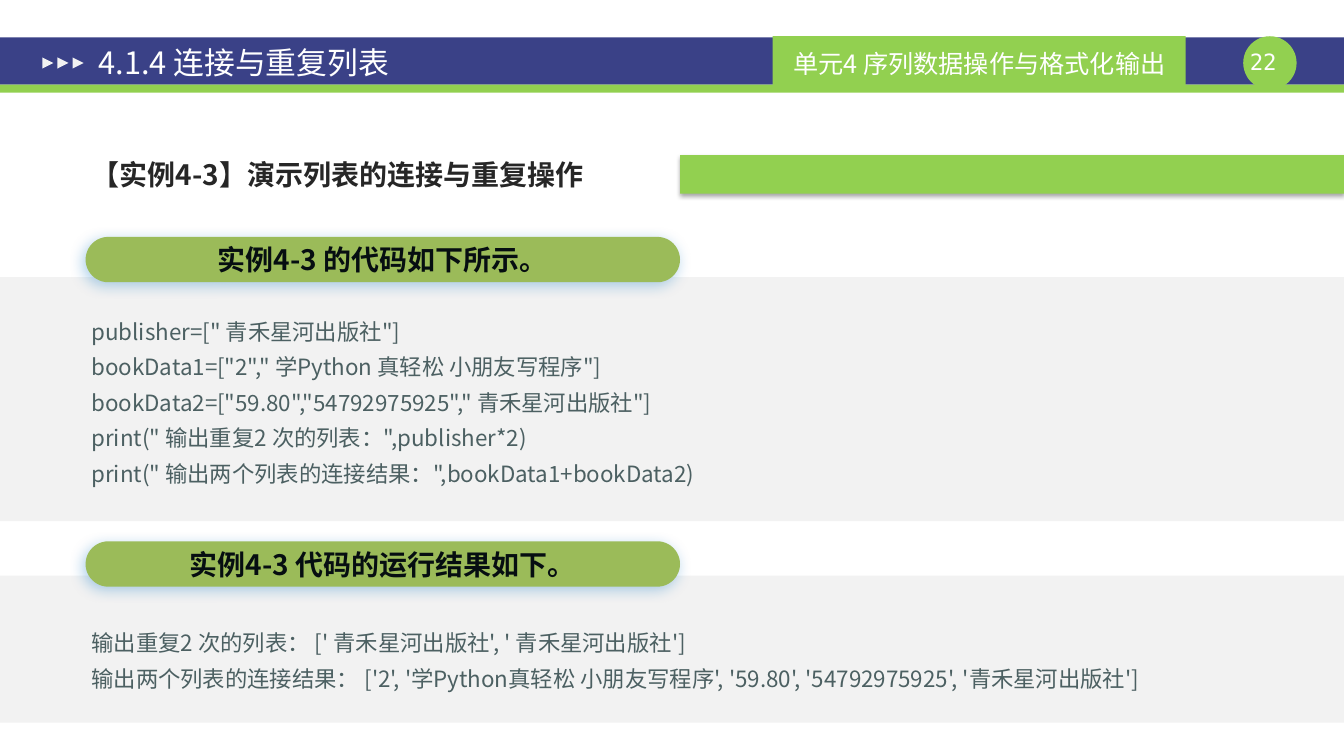
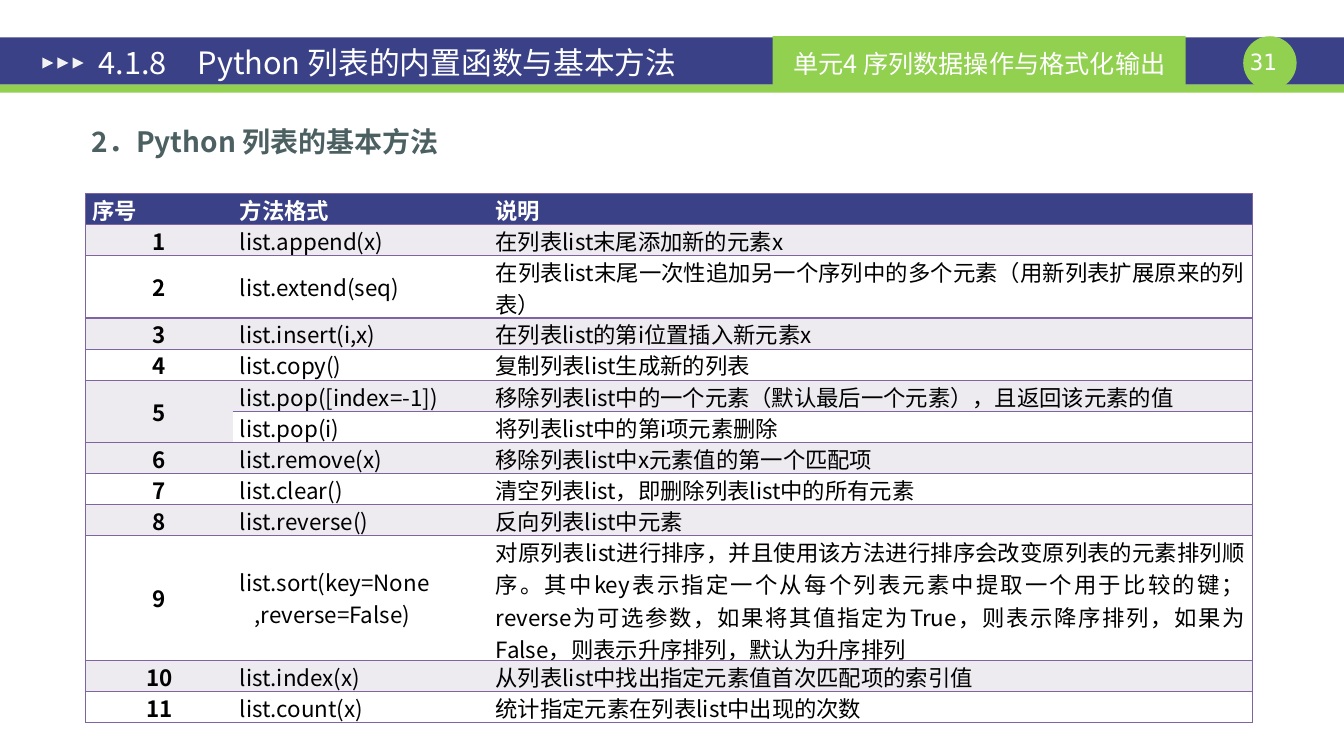
from lxml import etree
from pptx import Presentation
from pptx.dml.color import RGBColor
from pptx.enum import shapes, text
from pptx.oxml import ns
from pptx.util import Inches, Pt

COLORS = {
    "navy": "3A4187", "green": "92D050", "olive": "9BBB59", "panel": "F2F2F2",
    "white": "FFFFFF", "body": "4C6062", "dark": "262626", "ink": "060E11",
    "black": "000000", "blue": "0070C0", "lavender": "EDEAF0", "border": "8064A2",
}
FONT = "Noto Sans CJK SC"
NUMBER_FONT = "DejaVu Sans Mono"
WIDTH, HEIGHT = 13.34, 7.5
LEFT = 0.85
UNIT = "单元4 序列数据操作与格式化输出"

EXAMPLE = {
    "title": "4.1.4 连接与重复列表",
    "number": "22 ",
    "heading": "【实例4-3】演示列表的连接与重复操作",
}
# label, label top, panel top, panel height, text top, text height, lines
EXAMPLE_PANELS = [
    ("实例4-3 的代码如下所示。", 2.35, 2.75, 2.42, 3.02, 1.88, [
        'publisher=[" 青禾星河出版社"]',
        'bookData1=["2"," 学Python 真轻松 小朋友写程序"]',
        'bookData2=["59.80","54792975925"," 青禾星河出版社"]',
        'print(" 输出重复2 次的列表：",publisher*2)',
        'print(" 输出两个列表的连接结果：",bookData1+bookData2)',
    ]),
    ("实例4-3 代码的运行结果如下。", 5.37, 5.71, 1.46, 6.11, 0.78, [
        "输出重复2 次的列表： [' 青禾星河出版社', ' 青禾星河出版社']",
        "输出两个列表的连接结果： ['2', '学Python真轻松 小朋友写程序', "
        "'59.80', '54792975925', '青禾星河出版社']",
    ]),
]

METHODS = {
    "title": "4.1.8　Python 列表的内置函数与基本方法",
    "number": "31 ",
    "heading": "2．Python 列表的基本方法",
}
METHOD_COLUMNS = [1.46, 2.54, 7.58]
TABLE_HEIGHT = 5.25
# number (empty: joined with the row above), method lines, description, lines of height
METHOD_ROWS = [
    ("序号", ["方法格式"], "说明", 1),
    ("1", ["list.append(x)"], "在列表list末尾添加新的元素x", 1),
    ("2", ["list.extend(seq)"],
     "在列表list末尾一次性追加另一个序列中的多个元素（用新列表扩展原来的列表）", 2),
    ("3", ["list.insert(i,x)"], "在列表list的第i位置插入新元素x", 1),
    ("4", ["list.copy()"], "复制列表list生成新的列表", 1),
    ("5", ["list.pop([index=-1])"],
     "移除列表list中的一个元素（默认最后一个元素），且返回该元素的值", 1),
    ("", ["list.pop(i)"], "将列表list中的第i项元素删除", 1),
    ("6", ["list.remove(x)"], "移除列表list中x元素值的第一个匹配项", 1),
    ("7", ["list.clear()"], "清空列表list，即删除列表list中的所有元素", 1),
    ("8", ["list.reverse()"], "反向列表list中元素", 1),
    ("9", ["list.sort(key=None ", "   ,reverse=False)"],
     "对原列表list进行排序，并且使用该方法进行排序会改变原列表的元素排列顺序。"
     "其中key表示指定一个从每个列表元素中提取一个用于比较的键；"
     "reverse为可选参数，如果将其值指定为True，则表示降序排列，"
     "如果为False，则表示升序排列，默认为升序排列", 4),
    ("10", ["list.index(x)"], "从列表list中找出指定元素值首次匹配项的索引值", 1),
    ("11", ["list.count(x)"], "统计指定元素在列表list中出现的次数", 1),
]


def rgb(name):
    return RGBColor.from_string(COLORS[name])


def write(frame, lines, size=16, color="body", bold=False, font=FONT,
          align=text.PP_ALIGN.LEFT, indent=0, spacing=None):
    """Fill a text frame with one formatted paragraph per line."""
    for index, line in enumerate(lines):
        paragraph = frame.add_paragraph() if index else frame.paragraphs[0]
        paragraph.alignment = align
        if spacing:
            paragraph.line_spacing = spacing
        if indent:
            properties = paragraph._p.get_or_add_pPr()
            properties.set("marL", "0")
            properties.set("indent", str(Inches(indent)))
        run = paragraph.add_run()
        run.text = line
        run.font.size = Pt(size)
        run.font.bold = bold
        run.font.color.rgb = rgb(color)
        run.font.name = font
        etree.SubElement(run._r.rPr, ns.qn("a:ea"), typeface=font)


def add_text(slide, box, lines, inset=(0.1, 0.05), anchor=text.MSO_ANCHOR.TOP, **style):
    frame = slide.shapes.add_textbox(*map(Inches, box)).text_frame
    frame.word_wrap = True
    frame.vertical_anchor = anchor
    frame.margin_left = frame.margin_right = Inches(inset[0])
    frame.margin_top = frame.margin_bottom = Inches(inset[1])
    write(frame, lines, **style)


def add_body(slide, box, lines, **style):
    add_text(slide, box, lines, indent=0.5, spacing=1.32, **style)


def add_block(slide, kind, box, fill, label=None, **style):
    shape = slide.shapes.add_shape(kind, *map(Inches, box))
    shape.shadow.inherit = False
    shape.fill.solid()
    shape.fill.fore_color.rgb = rgb(fill)
    shape.line.fill.background()
    if label:
        shape.text_frame.vertical_anchor = text.MSO_ANCHOR.MIDDLE
        write(shape.text_frame, [label], align=text.PP_ALIGN.CENTER, **style)
    return shape


def add_shadow(shape, color, alpha, blur, distance, angle):
    effects = shape._element.spPr.find(ns.qn("a:effectLst"))
    shadow = etree.SubElement(
        effects, ns.qn("a:outerShdw"), blurRad=str(Pt(blur)), dist=str(Pt(distance)),
        dir=str(angle * 60000), algn="ctr", rotWithShape="0")
    tint = etree.SubElement(shadow, ns.qn("a:srgbClr"), val=COLORS[color])
    etree.SubElement(tint, ns.qn("a:alpha"), val=str(alpha * 1000))


def set_borders(cell, drawn):
    """Draw the named sides of a cell and clear the others."""
    properties = cell._tc.get_or_add_tcPr()
    for position, side in enumerate("LRTB"):
        line = etree.Element(ns.qn("a:ln" + side), w=str(Pt(1)))
        if side in drawn:
            fill = etree.SubElement(line, ns.qn("a:solidFill"))
            etree.SubElement(fill, ns.qn("a:srgbClr"), val=COLORS["border"])
        else:
            etree.SubElement(line, ns.qn("a:noFill"))
        properties.insert(position, line)


def add_frame(presentation, content):
    """Add a slide with the shared header: bands, title, unit label and number."""
    slide = presentation.slides.add_slide(presentation.slide_layouts[6])
    kind = shapes.MSO_SHAPE
    add_block(slide, kind.RECTANGLE, (0, 0.37, WIDTH, 0.47), "navy")
    add_block(slide, kind.RECTANGLE, (0, 0.84, WIDTH, 0.08), "green")
    add_block(slide, kind.OVAL, (12.34, 0.36, 0.53, 0.53), "green")
    add_text(slide, (12.34, 0.48, 0.53, 0.27), [content["number"]], inset=(0, 0),
             color="white", font=NUMBER_FONT, align=text.PP_ALIGN.CENTER)
    add_block(slide, kind.RECTANGLE, (7.67, 0.36, 4.1, 0.54), "green",
              UNIT, size=18, color="white")
    for index in range(3):
        arrow = add_block(slide, kind.ISOSCELES_TRIANGLE,
                          (0.42 + 0.15 * index, 0.57, 0.11, 0.11), "panel")
        arrow.rotation = 90
    add_text(slide, (LEFT, 0.4, 7.2, 0.44), [content["title"]], inset=(0.13, 0.07),
             anchor=text.MSO_ANCHOR.MIDDLE, size=22, color="white")
    return slide


def build_example(presentation):
    slide = add_frame(presentation, EXAMPLE)
    kind = shapes.MSO_SHAPE
    bar = add_block(slide, kind.RECTANGLE, (6.75, 1.54, 6.59, 0.38), "green")
    add_shadow(bar, "black", 35, 3.1, 1.8, 90)
    add_body(slide, (0.31, 1.41, 12.11, 0.5), [EXAMPLE["heading"]],
             size=20, color="dark", bold=True)
    for label, label_top, top, height, text_top, text_height, lines in EXAMPLE_PANELS:
        add_block(slide, kind.RECTANGLE, (0, top, WIDTH, height), "panel")
        add_body(slide, (0.31, text_top, 12.77, text_height), lines)
        pill = add_block(slide, kind.ROUNDED_RECTANGLE, (LEFT, label_top, 5.9, 0.45),
                         "olive", label, size=20, color="ink", bold=True)
        pill.adjustments[0] = 0.5
        add_shadow(pill, "blue", 30, 10, 3, 135)


def fill_cell(cell, lines, row, column):
    header = row == 0
    cell.fill.solid()
    cell.fill.fore_color.rgb = rgb(
        "navy" if header else "lavender" if row % 2 else "white")
    cell.vertical_anchor = text.MSO_ANCHOR.MIDDLE
    cell.margin_left = cell.margin_right = Inches(0.07)
    cell.margin_top = cell.margin_bottom = 0
    set_borders(cell, ("LTB", "TB", "RTB")[column])
    centred = column == 0 and not header
    if lines != [""]:
        write(cell.text_frame, lines, color="white" if header else "black",
              bold=header or column == 0,
              align=text.PP_ALIGN.CENTER if centred else text.PP_ALIGN.JUSTIFY)


def build_methods(presentation):
    slide = add_frame(presentation, METHODS)
    add_body(slide, (0.31, 1.08, 12.48, 0.5), [METHODS["heading"]], size=20, bold=True)
    table = slide.shapes.add_table(
        len(METHOD_ROWS), len(METHOD_COLUMNS), Inches(LEFT), Inches(1.92),
        Inches(sum(METHOD_COLUMNS)), Inches(TABLE_HEIGHT)).table
    for column, width in zip(table.columns, METHOD_COLUMNS):
        column.width = Inches(width)
    line_height = TABLE_HEIGHT / sum(row[-1] for row in METHOD_ROWS)
    for row, (number, method, description, line_count) in enumerate(METHOD_ROWS):
        table.rows[row].height = Inches(line_height * line_count)
        for column, lines in enumerate(([number], method, [description])):
            fill_cell(table.cell(row, column), lines, row, column)
        if not number:
            table.cell(row - 1, 0).merge(table.cell(row, 0))


def main():
    presentation = Presentation()
    presentation.slide_width = Inches(WIDTH)
    presentation.slide_height = Inches(HEIGHT)
    build_example(presentation)
    build_methods(presentation)
    presentation.save("out.pptx")


if __name__ == "__main__":
    main()
